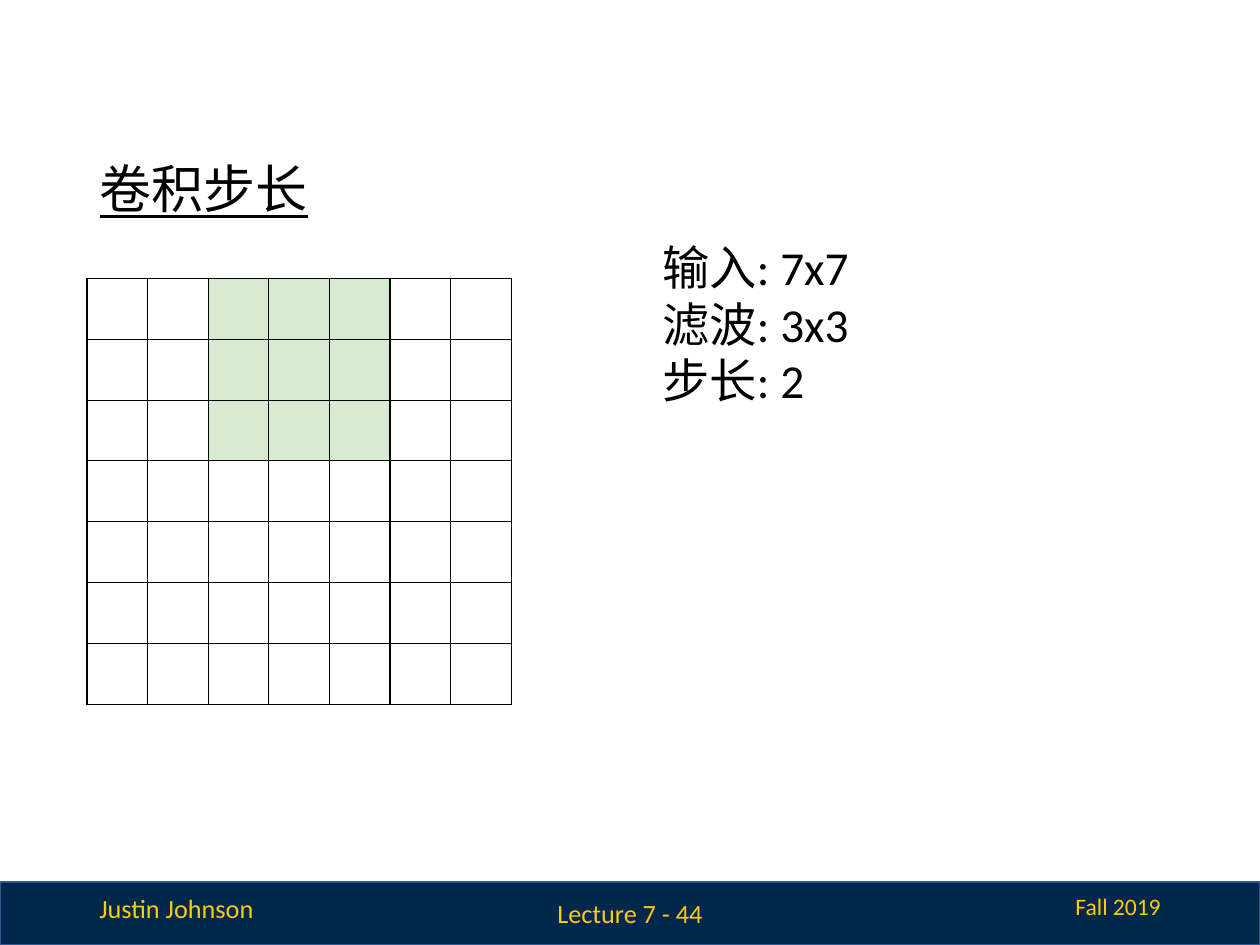
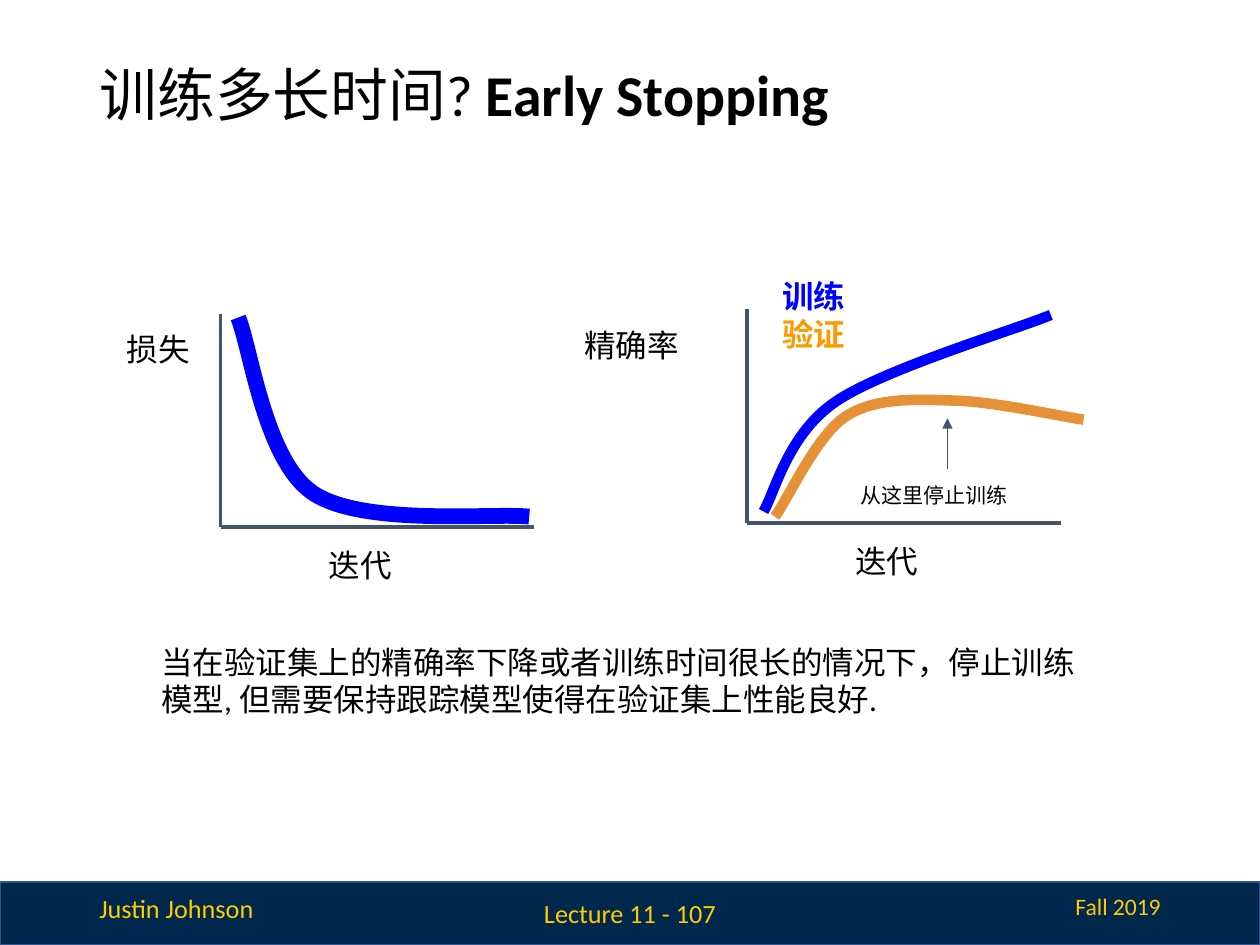
from itertools import product

from lxml.etree import Element, SubElement
from pptx import Presentation
from pptx.dml.color import RGBColor
from pptx.enum.shapes import MSO_CONNECTOR, MSO_SHAPE
from pptx.enum.text import MSO_ANCHOR, MSO_AUTO_SIZE, PP_ALIGN
from pptx.oxml.ns import qn
from pptx.util import Emu, Pt

PX = 9144
SLIDE_W, SLIDE_H = 1000, 750
BAND_TOP = 700
FONT = "Calibri"
NAVY = RGBColor(0x00, 0x27, 0x4C)
BAND_EDGE = RGBColor(0x32, 0x54, 0x91)
MAIZE = RGBColor(0xFF, 0xCB, 0x05)
BLACK = RGBColor(0x00, 0x00, 0x00)
SLATE = RGBColor(0x44, 0x54, 0x6A)
BLUE = RGBColor(0x00, 0x00, 0xFF)
ORANGE = RGBColor(0xE6, 0x91, 0x38)
LABEL_ORANGE = RGBColor(0xFF, 0x99, 0x00)
PALE_GREEN = RGBColor(0xD9, 0xEA, 0xD3)


def px(*lengths):
    """Turn px lengths into EMU."""
    return [Emu(round(n * PX)) for n in lengths]


def add_run(p, text, size, color=BLACK, bold=None, underline=None):
    """Append one formatted run to a paragraph."""
    r = p.add_run()
    r.text = text
    r.font.name, r.font.size = FONT, Pt(size)
    r.font.bold, r.font.underline = bold, underline
    r.font.color.rgb = color


def add_text(s, box, lines, size, color=BLACK, align=PP_ALIGN.LEFT,
             anchor=MSO_ANCHOR.TOP, inset=10):
    """Add a text box with one paragraph per line."""
    sp = s.shapes.add_textbox(*px(*box))
    tf = sp.text_frame
    tf.word_wrap = True
    tf.vertical_anchor = anchor
    tf.margin_top, tf.margin_bottom = px(inset, inset)
    tf.margin_left, tf.margin_right = px(10, 10)
    for i, line in enumerate(lines):
        p = tf.add_paragraph() if i else tf.paragraphs[0]
        p.alignment = align
        add_run(p, line, size, color)
    return sp


def add_footer(s):
    """Build the band, lecturer and term, and move them to the slide's layout."""
    band = s.shapes.add_shape(MSO_SHAPE.RECTANGLE,
                              *px(0, BAND_TOP, SLIDE_W, SLIDE_H - BAND_TOP))
    band.shadow.inherit = False
    band.fill.solid()
    band.fill.fore_color.rgb = NAVY
    band.line.color.rgb = BAND_EDGE
    band.line.width = Pt(1)
    lecturer = add_text(s, (69, BAND_TOP + 3, 144, 35), ["Justin Johnson"], 15, MAIZE, inset=5)
    term = add_text(s, (733, BAND_TOP + 3, 198, 33), ["Fall 2019"], 13.5, MAIZE,
                    PP_ALIGN.RIGHT, inset=5)
    for sp in (band, lecturer, term):
        s.slide_layout.shapes._spTree.append(sp._element)


def add_slide(prs, page, title_box):
    """Add a title-only slide with its page label; return it and the title paragraph."""
    s = prs.slides.add_slide(prs.slide_layouts[5])
    title = s.shapes.title
    title.left, title.top, title.width, title.height = px(*title_box)
    tf = title.text_frame
    tf.auto_size = MSO_AUTO_SIZE.NONE
    tf.word_wrap = True
    tf.vertical_anchor = MSO_ANCHOR.MIDDLE
    p = tf.paragraphs[0]
    p.alignment, p.line_spacing = PP_ALIGN.LEFT, 0.9
    add_text(s, (365, BAND_TOP + 5, 270, 40), [page], 15, MAIZE, PP_ALIGN.CENTER,
             MSO_ANCHOR.MIDDLE, 5)
    return s, p


def add_line(s, start, end, width, arrow=False):
    """Draw a straight slate line, with an arrowhead at its end if asked."""
    line = s.shapes.add_connector(MSO_CONNECTOR.STRAIGHT, *px(*start, *end))
    line.line.color.rgb = SLATE
    line.line.width = Pt(width)
    if arrow:
        SubElement(line.line._get_or_add_ln(), qn("a:tailEnd"), type="triangle")
    SubElement(line._element.spPr, qn("a:effectLst"))


def add_curve(s, left, top, points, color, width):
    """Draw a chain of cubic Bezier segments relative to left and top."""
    points = [px(left + x, top + y) for x, y in points]
    builder = s.shapes.build_freeform(*points[0])
    builder.add_line_segments(points[3::3], close=False)
    curve = builder.convert_to_shape()
    for i, segment in enumerate(list(curve._element.iter(qn("a:lnTo")))):
        bezier = Element(qn("a:cubicBezTo"))
        for x, y in points[3 * i + 1:3 * i + 4]:
            SubElement(bezier, qn("a:pt"), x=str(x - curve.left), y=str(y - curve.top))
        segment.getparent().replace(segment, bezier)
    curve.shadow.inherit = False
    curve.fill.background()
    curve.line.color.rgb = color
    curve.line.width = Pt(width)


def add_plot(s, box, x_label_w, y_label, y_label_box, curves):
    """Draw axes, axis labels and curves of one plot."""
    left, top, width, height = box
    base = top + height
    add_line(s, (left, base), (left, top), 2.25)
    add_line(s, (left + width, base), (left, base), 2.25)
    dx, dy, y_label_w = y_label_box
    add_text(s, (left + dx, top + dy, y_label_w, 42), [y_label], 18)
    add_text(s, (left + 76, base + 5, x_label_w, 42), ["迭代"], 18)
    for points, color, weight in curves:
        add_curve(s, left, top, points, color, weight)


def add_grid(s, box, count, filter_col, filter_size):
    """Draw the input grid with the filter window shaded."""
    left, top, width, height = box
    table = s.shapes.add_table(count, count, *px(left, top, width, height)).table
    table.first_row = table.horz_banding = False
    for column in table.columns:
        column.width = px(width / count)[0]
    for row in table.rows:
        row.height = px(height / count)[0]
    for row, col in product(range(count), repeat=2):
        cell = table.cell(row, col)
        tc_pr = cell._tc.get_or_add_tcPr()
        for edge in ("a:lnL", "a:lnR", "a:lnT", "a:lnB"):
            ln = SubElement(tc_pr, qn(edge), w=str(Pt(0.75)))
            SubElement(SubElement(ln, qn("a:solidFill")), qn("a:srgbClr"), val=str(BLACK))
        if row < filter_size and filter_col <= col < filter_col + filter_size:
            cell.fill.solid()
            cell.fill.fore_color.rgb = PALE_GREEN
        else:
            cell.fill.background()


def build_stride_slide(prs):
    """Build the slide on convolution stride."""
    s, title = add_slide(prs, "Lecture 7 - 44", (69, 124, 632, 56))
    add_run(title, "卷积步长", 29.7, underline=True)
    add_grid(s, (69, 221, 337, 338), 7, filter_col=2, filter_size=3)
    add_text(s, (516, 179, 193, 148), ["输入: 7x7", "滤波: 3x3", "步长: 2"], 27)
    return s


def build_early_stopping_slide(prs):
    """Build the slide on early stopping."""
    s, title = add_slide(prs, "Lecture 11 - 107", (69, 40, 862, 75))
    add_run(title, "训练多长时间? ", 33)
    add_run(title, "Early Stopping", 33, bold=True)

    loss = [(14, 3), (24, 27), (35, 116), (73, 142), (112, 169), (217, 158), (245, 161)]
    add_plot(s, (175, 249, 249, 169), 128, "损失", (-84, 3, 77), [(loss, BLUE, 9)])

    left, top = 593, 245
    train = [(13, 161), (22, 146), (32, 100), (70, 74), (108, 48), (212, 17), (241, 5)]
    validation = [(22, 165), (32, 152), (55, 100), (79, 85), (103, 70),
                  (135, 72), (166, 73), (198, 74), (251, 86), (267, 88)]
    add_plot(s, (left, top, 249, 170), 122, "精确率", (-139, 4, 125),
             [(train, BLUE, 6), (validation, ORANGE, 6)])
    legend = add_text(s, (left + 18, top - 35, 92, 65), [], 18).text_frame.paragraphs[0]
    add_run(legend, "训练", 18, BLUE, bold=True)
    add_run(legend, "验证", 18, LABEL_ORANGE, bold=True)
    add_line(s, (left + 159, top + 127), (left + 159, top + 87), 0.75, arrow=True)
    add_text(s, (left + 80, top + 128, 158, 42), ["从这里停止训练"], 12)

    advice = ("当在验证集上的精确率下降或者训练时间很长的情况下，停止训练模型, "
              "但需要保持跟踪模型使得在验证集上性能良好.")
    add_text(s, (118, 489, 766, 102), [advice], 18, anchor=MSO_ANCHOR.MIDDLE)


def main():
    """Build and save the presentation."""
    prs = Presentation()
    prs.slide_width, prs.slide_height = px(SLIDE_W, SLIDE_H)
    add_footer(build_stride_slide(prs))
    build_early_stopping_slide(prs)
    prs.save("out.pptx")


if __name__ == "__main__":
    main()
